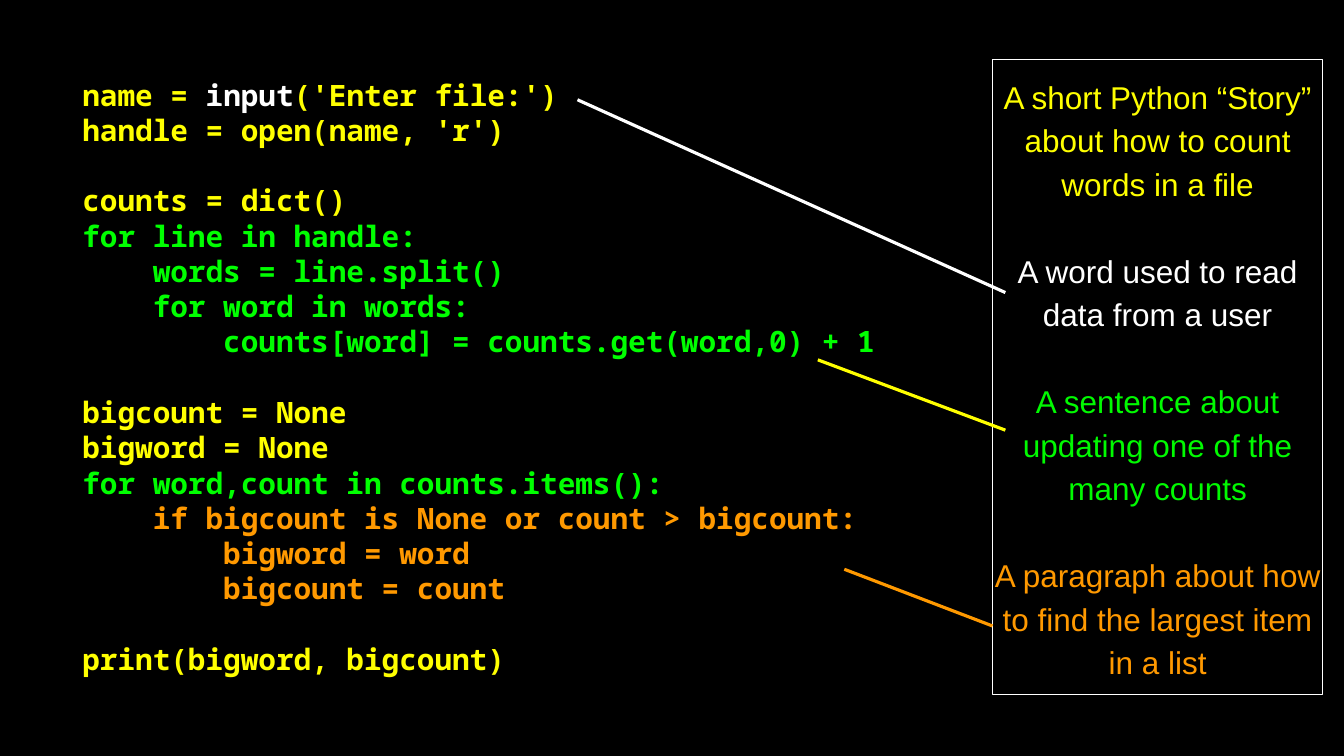
"""Build a slide that reads a word-counting program as a story."""
from dataclasses import dataclass

from lxml.etree import SubElement
from pptx import Presentation
from pptx.dml.color import RGBColor
from pptx.enum.shapes import MSO_CONNECTOR, MSO_SHAPE
from pptx.enum.text import MSO_ANCHOR, PP_ALIGN
from pptx.oxml.ns import qn
from pptx.shapes.autoshape import Shape
from pptx.slide import Slide
from pptx.util import Inches, Pt

YELLOW, WHITE, GREEN, ORANGE = "FFFF00", "FFFFFF", "00FF00", "FF9900"
NOTE_GREEN, BLACK = "00FA00", "000000"


@dataclass(frozen=True)
class Line:
    """A paragraph of (text, colour) runs, with or without a gap above."""
    runs: list[tuple[str, str]]
    gap: bool = False


@dataclass(frozen=True)
class Pointer:
    """A straight line from a piece of code to its note."""
    start: tuple[float, float]
    end: tuple[float, float]
    color: str


CODE = [
    Line([("name = ", YELLOW), ("input", WHITE), ("('Enter file:')", YELLOW)]),
    Line([("handle = open(name, 'r')", YELLOW)]),
    Line([("counts = dict()", YELLOW)], gap=True),
    Line([("for line in handle:", GREEN)]),
    Line([("    words = line.split()", GREEN)]),
    Line([("    for word in words:", GREEN)]),
    Line([("        counts[word] = counts.get(word,0) + 1", GREEN)]),
    Line([("bigcount = None", YELLOW)], gap=True),
    Line([("bigword = None", YELLOW)]),
    Line([("for word,count in counts.items():", GREEN)]),
    Line([("    if bigcount is None or count > bigcount:", ORANGE)]),
    Line([("        bigword = word", ORANGE)]),
    Line([("        bigcount = count", ORANGE)]),
    Line([("print(bigword, bigcount)", YELLOW)], gap=True),
]

NOTES = [
    Line([("A short Python “Story” about how to count words in a file", YELLOW)]),
    Line([("A word used to read data from a user", WHITE)], gap=True),
    Line([("A sentence about updating one of the many counts", NOTE_GREEN)], gap=True),
    Line([("A paragraph about how to find the largest item in a list", ORANGE)], gap=True),
]

POINTERS = [
    Pointer((7.64, 1.32), (13.3, 3.87), WHITE),
    Pointer((10.82, 4.76), (13.3, 5.69), YELLOW),
    Pointer((11.17, 7.53), (13.13, 8.28), ORANGE),
]


def rgb(color: str) -> RGBColor:
    """Turn a hex string into a colour."""
    return RGBColor.from_string(color)


def write_lines(shape: Shape, lines: list[Line], *, font: str, size: float,
                pitch: float, bold: bool = False,
                align: PP_ALIGN = PP_ALIGN.LEFT) -> None:
    """Fill a shape with coloured lines at a fixed pitch."""
    frame = shape.text_frame
    frame.word_wrap = True
    frame.vertical_anchor = MSO_ANCHOR.MIDDLE
    frame.margin_left = frame.margin_right = 0
    frame.margin_top = frame.margin_bottom = 0
    for index, line in enumerate(lines):
        paragraph = frame.add_paragraph() if index else frame.paragraphs[0]
        paragraph.alignment = align
        paragraph.line_spacing = Pt(pitch)
        paragraph.space_before = Pt(pitch if line.gap else 0)
        for text, color in line.runs:
            run = paragraph.add_run()
            run.text = text
            run.font.name = font
            run.font.size = Pt(size)
            run.font.bold = bold
            run.font.color.rgb = rgb(color)


def add_pointer(slide: Slide, pointer: Pointer) -> None:
    """Draw one pointer line."""
    points = [Inches(value) for value in (*pointer.start, *pointer.end)]
    connector = slide.shapes.add_connector(MSO_CONNECTOR.STRAIGHT, *points)
    connector.line.color.rgb = rgb(pointer.color)
    connector.line.width = Pt(3)
    SubElement(connector._element.spPr, qn("a:effectLst"))


def main() -> None:
    """Build and save the presentation."""
    presentation = Presentation()
    presentation.slide_width = Inches(17.78)
    presentation.slide_height = Inches(10)
    slide = presentation.slides.add_slide(presentation.slide_layouts[6])
    slide.background.fill.solid()
    slide.background.fill.fore_color.rgb = rgb(BLACK)

    code_box = slide.shapes.add_textbox(
        Inches(1.09), Inches(0.85), Inches(10.97), Inches(8.26))
    write_lines(code_box, CODE, font="Noto Sans Mono", size=28, pitch=33.6, bold=True)

    notes_box = slide.shapes.add_shape(
        MSO_SHAPE.RECTANGLE, Inches(13.13), Inches(0.78), Inches(4.37), Inches(8.4))
    notes_box.shadow.inherit = False
    notes_box.fill.background()
    notes_box.line.color.rgb = rgb(WHITE)
    notes_box.line.width = Pt(0.75)
    write_lines(notes_box, NOTES, font="Arial", size=30, pitch=41.4,
                align=PP_ALIGN.CENTER)

    for pointer in POINTERS:
        add_pointer(slide, pointer)
    presentation.save("out.pptx")


if __name__ == "__main__":
    main()
